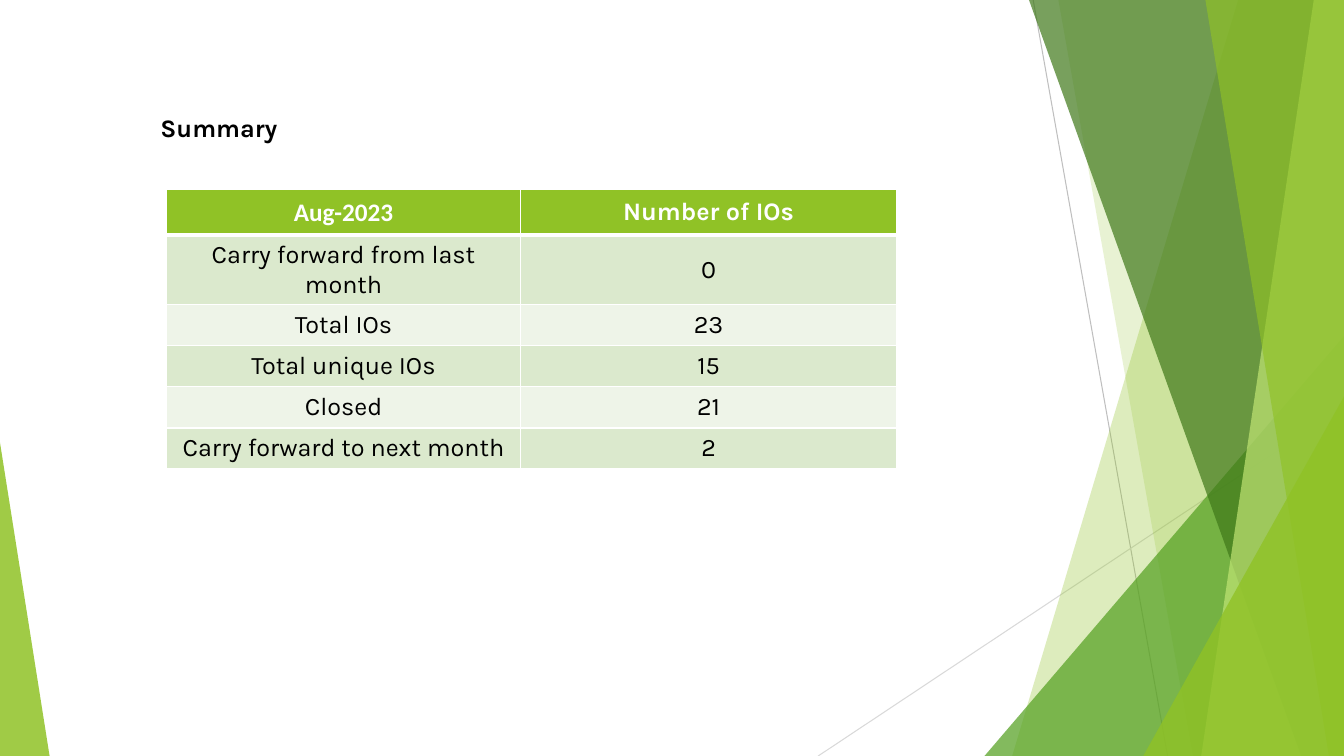
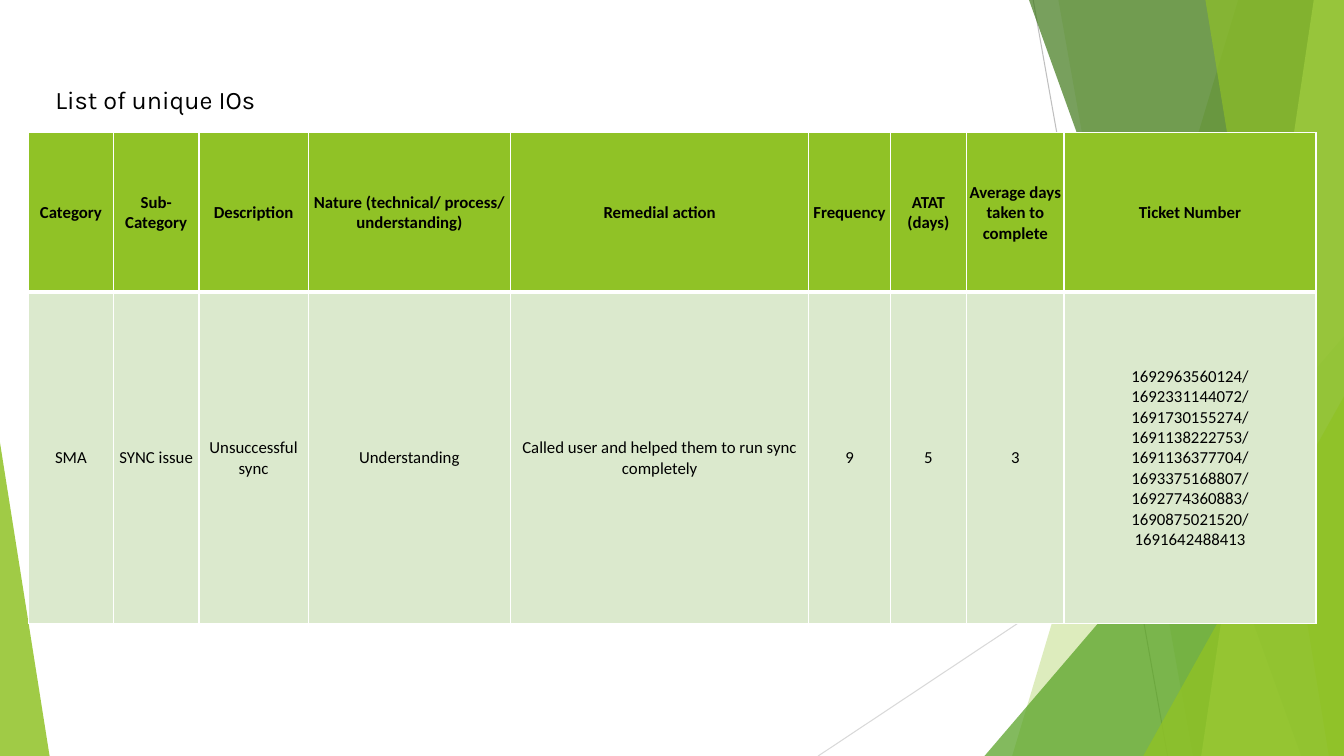
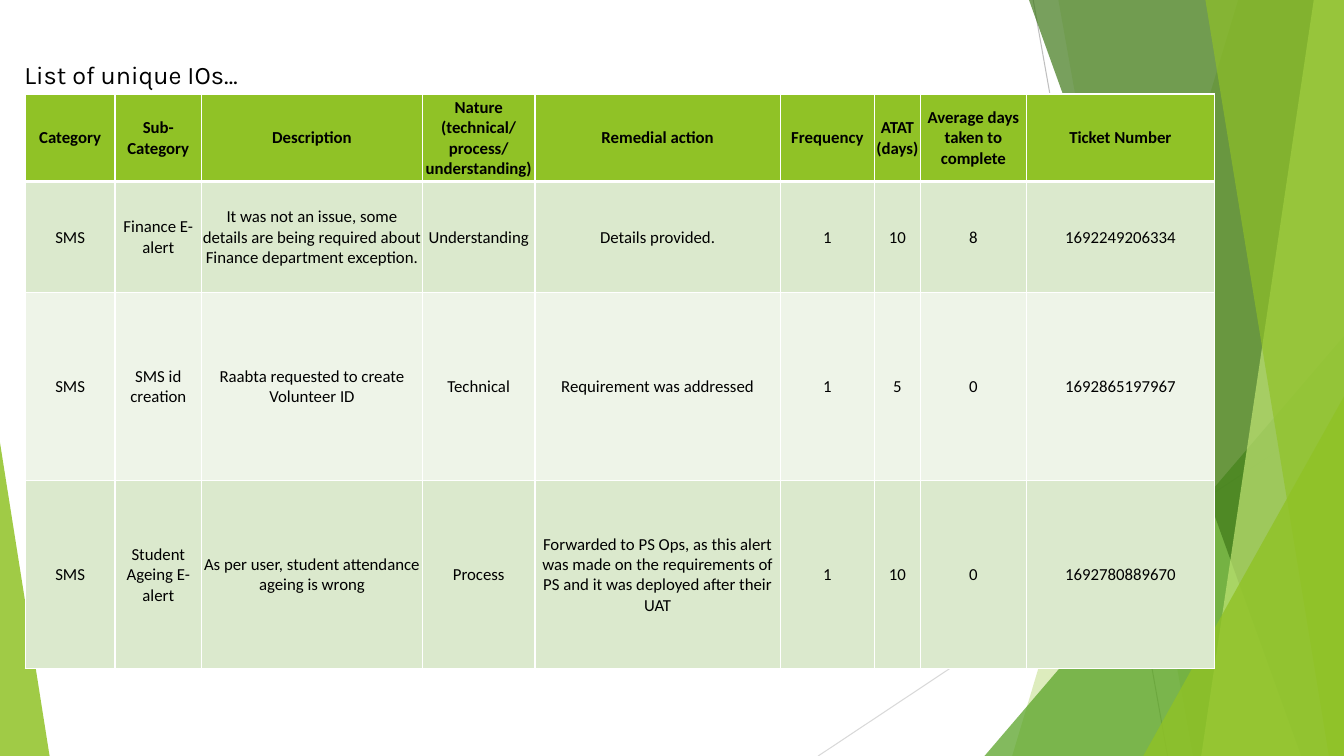
"""Build the monthly IO report: a summary and the lists of unique IOs."""
import dataclasses

import lxml.etree
import pptx
import pptx.dml.color
import pptx.enum.shapes
import pptx.enum.text
import pptx.oxml.ns
import pptx.util

qn = pptx.oxml.ns.qn
COLUMNS, ROWS = 16, 9


@dataclasses.dataclass(frozen=True)
class Theme:
    """Colours, fonts and sizes of the report."""
    lime: str = "90C226"
    green: str = "54A021"
    forest: str = "3F7819"
    pale_lime: str = "C0E474"
    band_dark: str = "DBE9CD"
    band_light: str = "EEF4E8"
    ink: str = "000000"
    white: str = "FFFFFF"
    ray_dark: str = "BFBFBF"
    ray_light: str = "D9D9D9"
    display_font: str = "Karla"
    text_font: str = "Calibri"
    large: int = 18
    small: int = 12
    ray_width: float = 0.75
    border: int = 1
    header_border: int = 3
    tight_inset: float = 0.01


class Report:
    """Holds the theme and the current slide and draws elements on a grid."""

    def __init__(self, theme):
        """Start a widescreen presentation with a decorated layout."""
        self.theme = theme
        self.deck = pptx.Presentation()
        self.deck.slide_width = pptx.util.Inches(13.33)
        self.deck.slide_height = pptx.util.Inches(7.5)
        self.layout = self.deck.slide_layouts[5]
        self.slide = None

    def x(self, columns):
        """Turn grid columns into a length."""
        return round(self.deck.slide_width * columns / COLUMNS)

    def y(self, rows):
        """Turn grid rows into a length."""
        return round(self.deck.slide_height * rows / ROWS)

    def start(self, title, left, top, width, bold=False):
        """Add a slide with its title; decorate the layout the first time."""
        first = self.slide is None
        self.slide = self.deck.slides.add_slide(self.layout)
        if first:
            self.scenery()
        heading = self.slide.shapes.title
        heading.left, heading.top = self.x(left), self.y(top)
        heading.width, heading.height = self.x(width), self.y(0.48)
        frame = heading.text_frame
        frame.text = title
        frame.word_wrap = True
        frame.auto_size = pptx.enum.text.MSO_AUTO_SIZE.NONE
        frame.vertical_anchor = pptx.enum.text.MSO_ANCHOR.TOP
        self.format_text(frame, pptx.enum.text.PP_ALIGN.LEFT, self.theme.display_font,
                         self.theme.large, self.theme.ink, bold)

    def format_text(self, frame, alignment, font, size, colour, bold):
        """Style every run of a text frame."""
        for paragraph in frame.paragraphs:
            paragraph.alignment = alignment
            for run in paragraph.runs:
                run.font.name = font
                run.font.size = pptx.util.Pt(size)
                run.font.bold = bold
                run.font.color.rgb = pptx.dml.color.RGBColor.from_string(colour)

    def ray(self, start, end, colour):
        """Draw a thin straight line."""
        line = self.slide.shapes.add_connector(
            pptx.enum.shapes.MSO_CONNECTOR.STRAIGHT,
            self.x(start[0]), self.y(start[1]), self.x(end[0]), self.y(end[1]))
        line.line.color.rgb = pptx.dml.color.RGBColor.from_string(colour)
        line.line.width = pptx.util.Pt(self.theme.ray_width)
        lxml.etree.SubElement(line.element.spPr, qn("a:effectLst"))

    def tint(self, shape, colour, opacity):
        """Give a shape a translucent fill and no outline."""
        shape.shadow.inherit = False
        shape.line.fill.background()
        shape.fill.solid()
        shape.fill.fore_color.rgb = pptx.dml.color.RGBColor.from_string(colour)
        fill_colour = shape.element.spPr.find(qn("a:solidFill")).find(qn("a:srgbClr"))
        lxml.etree.SubElement(fill_colour, qn("a:alpha"), val=str(opacity * 1000))

    def ribbon(self, top_left, bottom_left, colour, opacity):
        """Fill the slide from a slanted edge to the right side."""
        outline = self.slide.shapes.build_freeform(self.x(top_left), 0)
        outline.add_line_segments([
            (self.x(COLUMNS), 0), (self.x(COLUMNS), self.y(ROWS)),
            (self.x(bottom_left), self.y(ROWS))])
        self.tint(outline.convert_to_shape(), colour, opacity)

    def wedge(self, left, right, top, apex, colour, opacity):
        """Draw a triangle that stands on the bottom edge."""
        shape = self.slide.shapes.add_shape(
            pptx.enum.shapes.MSO_SHAPE.ISOSCELES_TRIANGLE,
            self.x(left), self.y(top), self.x(right - left), self.y(ROWS - top))
        shape.adjustments[0] = apex
        self.tint(shape, colour, opacity)

    def scenery(self):
        """Draw the shared facets and move them to the layout."""
        theme = self.theme
        self.ray((12.3, 0), (13.9, ROWS), theme.ray_dark)
        self.ray((COLUMNS, 4.84), (9.74, ROWS), theme.ray_light)
        self.ribbon(14.74, 12.05, theme.lime, 30)
        self.ribbon(12.6, 14.2, theme.lime, 20)
        self.wedge(11.72, COLUMNS, 4, 1, theme.green, 72)
        self.ribbon(12.25, 15.49, theme.forest, 70)
        self.ribbon(15.64, 14.3, theme.pale_lime, 70)
        self.ribbon(14.35, 15.82, theme.lime, 65)
        self.wedge(13.61, COLUMNS, 4.72, 1, theme.lime, 80)
        self.wedge(0, 0.59, 5.27, 0, theme.lime, 85)
        facets = [shape for shape in self.slide.shapes if not shape.is_placeholder]
        for number, facet in enumerate(facets, start=20):
            facet.element.xpath(".//p:cNvPr")[0].set("id", str(number))
            self.layout.shapes.element.append(facet.element)

    def border(self, properties, row):
        """Put white borders on a cell, thick below the header."""
        thick = {(0, "B"), (1, "T")}
        for place, side in enumerate("LRTB"):
            weight = self.theme.header_border if (row, side) in thick else self.theme.border
            edge = lxml.etree.Element(qn(f"a:ln{side}"), w=str(pptx.util.Pt(weight)))
            paint = lxml.etree.SubElement(edge, qn("a:solidFill"))
            lxml.etree.SubElement(paint, qn("a:srgbClr"), val=self.theme.white)
            properties.insert(place, edge)

    def table(self, left, top, widths, heights, records, size, header_ink,
              header_fonts, body_font, inset=None):
        """Draw a banded table with a lime header row."""
        theme = self.theme
        holder = self.slide.shapes.add_table(
            len(heights), len(widths), self.x(left), self.y(top),
            self.x(sum(widths)), self.y(sum(heights)))
        grid = holder.table
        for column, width in zip(grid.columns, widths):
            column.width = self.x(width)
        for row, height in zip(grid.rows, heights):
            row.height = self.y(height)
        for r, record in enumerate(records):
            header = r == 0
            band = theme.band_dark if r % 2 else theme.band_light
            for c, words in enumerate(record):
                cell = grid.cell(r, c)
                cell.fill.solid()
                cell.fill.fore_color.rgb = pptx.dml.color.RGBColor.from_string(
                    theme.lime if header else band)
                cell.vertical_anchor = pptx.enum.text.MSO_ANCHOR.MIDDLE
                if inset is not None:
                    cell.margin_left = cell.margin_right = pptx.util.Inches(inset)
                    cell.margin_top = pptx.util.Inches(inset)
                    cell.margin_bottom = 0
                cell.text_frame.text = words
                self.format_text(cell.text_frame, pptx.enum.text.PP_ALIGN.CENTER,
                                 header_fonts[c] if header else body_font, size,
                                 header_ink if header else theme.ink, header)
        for r, row in enumerate(holder.element.iter(qn("a:tr"))):
            for properties in row.iter(qn("a:tcPr")):
                self.border(properties, r)

    def summary_table(self, left, top, widths, heights, records):
        """Draw a large table of counts."""
        theme = self.theme
        self.table(left, top, widths, heights, records, theme.large, theme.white,
                   (theme.text_font, theme.display_font), theme.display_font)

    def issue_table(self, left, top, widths, heights, issues):
        """Draw a compact list of issues under the common headings."""
        theme = self.theme
        self.table(left, top, widths, heights, [ISSUE_HEADINGS, *issues], theme.small,
                   theme.ink, [theme.text_font] * len(widths), theme.text_font,
                   theme.tight_inset)


ISSUE_HEADINGS = (
    "Category", "Sub- Category", "Description",
    "Nature (technical/ process/ understanding)", "Remedial action", "Frequency",
    "ATAT (days)", "Average days taken to complete", "Ticket Number")

SUMMARY = (
    ("Aug-2023", "Number of IOs"),
    ("Carry forward from last month", "0"),
    ("Total IOs", "23"),
    ("Total unique IOs", "15"),
    ("Closed", "21"),
    ("Carry forward to next month", "2"))

SYNC_TICKETS = (
    "1692963560124", "1692331144072", "1691730155274", "1691138222753",
    "1691136377704", "1693375168807", "1692774360883", "1690875021520",
    "1691642488413")

SYNC_ISSUES = (
    ("SMA", "SYNC issue", "Unsuccessful sync", "Understanding",
     "Called user and helped them to run sync completely", "9", "5", "3",
     "/\n".join(SYNC_TICKETS)),)

SMS_ISSUES = (
    ("SMS", "Finance E-alert",
     "It was not an issue, some details are being required about "
     "Finance department exception.",
     "Understanding", "Details provided.", "1", "10", "8", "1692249206334"),
    ("SMS", "SMS id creation", "Raabta requested to create Volunteer ID",
     "Technical", "Requirement was addressed", "1", "5", "0", "1692865197967"),
    ("SMS", "Student Ageing E-alert", "As per user, student attendance ageing is wrong",
     "Process",
     "Forwarded to PS Ops, as this alert was made on the requirements of PS "
     "and it was deployed after their UAT",
     "1", "10", "0", "1692780889670"))


def main():
    """Build and save the three slides."""
    report = Report(Theme())

    report.start("Summary", 1.79, 1.28, 1.91, bold=True)
    report.summary_table(1.98, 2.26, (4.22, 4.47), (0.54, 0.82, *[0.49] * 4), SUMMARY)

    report.start("List of unique IOs", 0.54, 0.94, 2.8)
    report.issue_table(0.34, 1.58, (1.01, 1.02, 1.3, 2.41, 3.55, 0.97, 0.91, 1.16, 3),
                       (1.9, 3.94), SYNC_ISSUES)

    report.start("List of unique IOs…", 0.17, 0.64, 3.05)
    report.issue_table(0.3, 1.12, (1.07, 1.03, 2.63, 1.34, 2.92, 1.12, 0.55, 1.26, 2.24),
                       (1.04, 1.32, 2.24, 2.24), SMS_ISSUES)

    report.deck.save("out.pptx")


if __name__ == "__main__":
    main()
